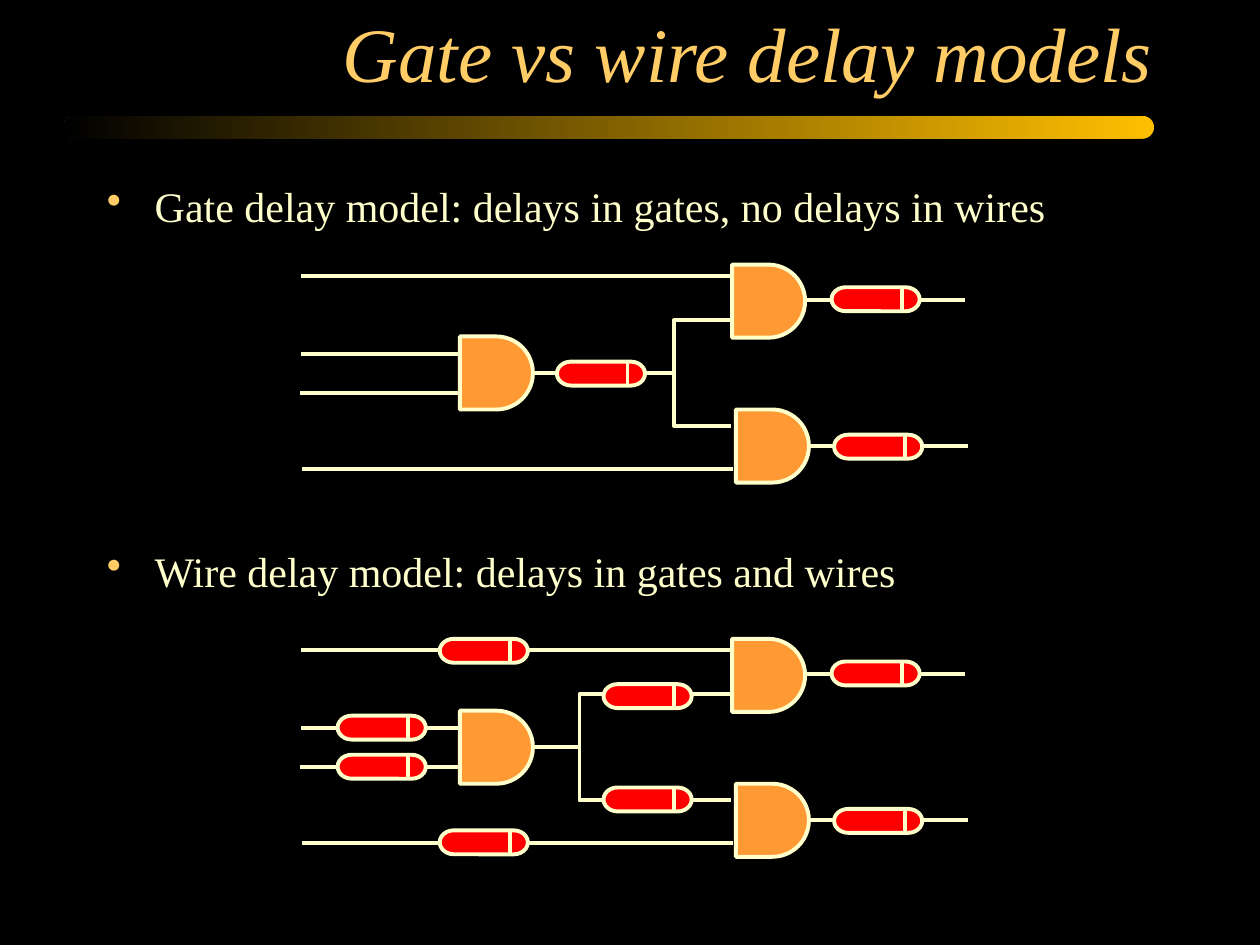
from dataclasses import dataclass

from lxml.etree import SubElement
from pptx import Presentation
from pptx.dml.color import RGBColor as RGB
from pptx.enum.shapes import MSO_CONNECTOR as Connector, MSO_SHAPE as Preset
from pptx.enum.text import MSO_ANCHOR as Anchor, PP_ALIGN as Align
from pptx.oxml.ns import qn
from pptx.util import Inches, Pt


@dataclass(frozen=True)
class Theme:
    """Colours and type sizes of the slide."""
    background: RGB = RGB(0, 0, 0)
    accent: RGB = RGB(0xFF, 0xCC, 0x66)
    bar: RGB = RGB(0xFF, 0xBF, 0)
    ink: RGB = RGB(0xFF, 0xFF, 0xCC)
    gate: RGB = RGB(0xFF, 0x99, 0x33)
    delay: RGB = RGB(0xFF, 0, 0)
    font: str = "Times New Roman"
    title_size: Pt = Pt(44)
    body_size: Pt = Pt(24)
    stroke: Pt = Pt(2.25)


THEME = Theme()
COLUMNS, ROWS = 100, 75
GATE_SIZE = 5.8
DELAY_WIDTH, DELAY_HEIGHT, DELAY_MARK = 7, 1.9, 5.6
GATES = [(36.5, 5.7), (58.4, 11.5), (58.1, 0)]
WIRES = [
    (23.9, 36.5, 7.1), (23.8, 36.4, 10.2),
    (23.9, 58.1, 0.9), (24, 58.2, 16.2),
    (64, 76.6, 2.8), (64.2, 76.8, 14.4),
]
BRANCH_START, BRANCH_END, BRANCH_ROW = 42.3, 58, 8.6
BRANCH_ROWS = (4.4, 12.8)
OUTPUT_DELAYS = [(66, 1.8), (66.2, 13.5)]
GATE_DELAYS = [(44.2, 7.7)]
WIRE_DELAYS = [
    (47.9, 3.6), (47.9, 11.8), (34.9, 0),
    (34.9, 15.2), (26.8, 6.1), (26.8, 9.2),
]


def grid(*cells):
    """Turn grid cells into slide lengths."""
    return [Inches(cell / 10) for cell in cells]


def outline(part):
    """Give a part the common stroke and no shadow."""
    part.line.color.rgb = THEME.ink
    part.line.width = THEME.stroke
    part.shadow.inherit = False


def add_part(circuit, preset, colour, *cells):
    """Add a filled circuit symbol."""
    part = circuit.shapes.add_shape(preset, *grid(*cells))
    part.fill.solid()
    part.fill.fore_color.rgb = colour
    outline(part)


def add_wire(circuit, *cells):
    """Add a straight wire."""
    wire = circuit.shapes.add_connector(Connector.STRAIGHT, *grid(*cells))
    wire.line.color.rgb = THEME.ink
    wire.line.width = THEME.stroke
    SubElement(wire.element.spPr, qn("a:effectLst"))


def add_branch(circuit, top, fork, end_row):
    """Add a stepped wire from the first gate to a second one."""
    start, end = top + BRANCH_ROW, top + end_row
    builder = circuit.shapes.build_freeform(*grid(BRANCH_START, start))
    corners = [(fork, start), (fork, end), (BRANCH_END, end)]
    builder.add_line_segments([grid(*corner) for corner in corners], close=False)
    branch = builder.convert_to_shape()
    branch.fill.background()
    outline(branch)


def add_delay(circuit, left, top):
    """Add a delay capsule with its end mark."""
    add_part(circuit, Preset.FLOWCHART_TERMINATOR, THEME.delay,
             left, top, DELAY_WIDTH, DELAY_HEIGHT)
    mark = left + DELAY_MARK
    add_wire(circuit, mark, top, mark, top + DELAY_HEIGHT)


def add_circuit(slide, top, fork, delays):
    """Add one grouped circuit of gates, wires and delays."""
    circuit = slide.shapes.add_group_shape()
    for left, row in GATES:
        add_part(circuit, Preset.FLOWCHART_DELAY, THEME.gate,
                 left, top + row, GATE_SIZE, GATE_SIZE)
    for start, end, row in WIRES:
        add_wire(circuit, start, top + row, end, top + row)
    for row in BRANCH_ROWS:
        add_branch(circuit, top, fork, row)
    for left, row in delays:
        add_delay(circuit, left, top + row)


def add_bar(slide):
    """Add the fading bar under the title."""
    bar = slide.shapes.add_shape(Preset.ROUNDED_RECTANGLE, *grid(5, 9.2, 86.6, 1.8))
    bar.adjustments[0] = 0.5
    bar.fill.gradient()
    bar.fill.gradient_angle = 180
    for stop, colour in zip(bar.fill.gradient_stops, (THEME.bar, THEME.background)):
        stop.color.rgb = colour
    bar.line.fill.background()
    bar.shadow.inherit = False


def add_frame(slide, *cells):
    """Add a wrapping text box and return its text frame."""
    frame = slide.shapes.add_textbox(*grid(*cells)).text_frame
    frame.word_wrap = True
    return frame


def style(paragraph, size, colour):
    """Set the font of a paragraph."""
    font = paragraph.font
    font.name, font.size, font.color.rgb = THEME.font, size, colour


def add_title(slide, text):
    """Add the right-aligned italic title."""
    frame = add_frame(slide, 7.5, 0.8, 85, 7.5)
    frame.vertical_anchor = Anchor.BOTTOM
    title = frame.paragraphs[0]
    title.text = text
    title.alignment = Align.RIGHT
    style(title, THEME.title_size, THEME.accent)
    title.font.italic = True


def add_bullet(paragraph):
    """Give a paragraph a hanging coloured bullet."""
    properties = paragraph._p.get_or_add_pPr()
    properties.set("marL", str(Inches(0.38)))
    properties.set("indent", str(-Inches(0.38)))
    colour = SubElement(properties, qn("a:buClr"))
    SubElement(colour, qn("a:srgbClr"), val=str(THEME.accent))
    SubElement(properties, qn("a:buChar"), char="•")


def add_models(slide, *models):
    """Add the bulleted models, spaced to leave room for the circuits."""
    frame = add_frame(slide, 7.5, 13.8, 85, 53.7)
    for index, text in enumerate(models):
        model = frame.add_paragraph() if index else frame.paragraphs[0]
        model.text = text
        add_bullet(model)
        model.space_before = Pt(180 if index else 0)
        style(model, THEME.body_size, THEME.ink)


def main():
    """Build and save the slide."""
    deck = Presentation()
    deck.slide_width, deck.slide_height = grid(COLUMNS, ROWS)
    slide = deck.slides.add_slide(deck.slide_layouts[6])
    slide.background.fill.solid()
    slide.background.fill.fore_color.rgb = THEME.background
    add_bar(slide)
    add_title(slide, "Gate vs wire delay models")
    add_models(slide,
               "Gate delay model: delays in gates, no delays in wires",
               "Wire delay model: delays in gates and wires")
    add_circuit(slide, 21, 53.5, GATE_DELAYS + OUTPUT_DELAYS)
    add_circuit(slide, 50.7, 46, WIRE_DELAYS + OUTPUT_DELAYS)
    deck.save("out.pptx")


if __name__ == "__main__":
    main()
